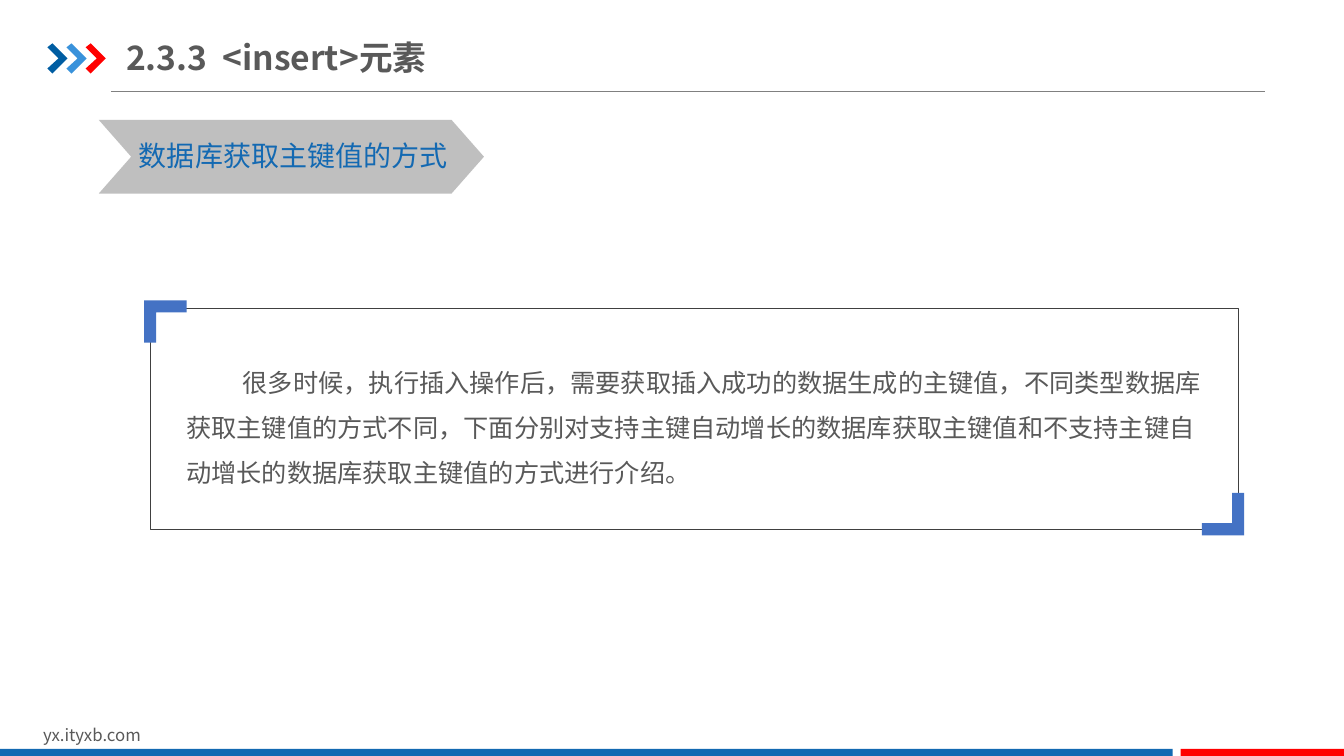
from dataclasses import dataclass

from lxml import etree
from pptx import Presentation
from pptx.dml.color import RGBColor
from pptx.enum.shapes import MSO_CONNECTOR, MSO_SHAPE
from pptx.enum.text import MSO_ANCHOR
from pptx.oxml.ns import qn
from pptx.util import Inches, Pt

RECTANGLE = MSO_SHAPE.RECTANGLE
CHEVRON = MSO_SHAPE.CHEVRON
STRAIGHT = MSO_CONNECTOR.STRAIGHT
TOP = MSO_ANCHOR.TOP
MIDDLE = MSO_ANCHOR.MIDDLE


@dataclass(frozen=True)
class Theme:
    """Colours, font and type sizes of the slide."""

    font: str = "Noto Sans CJK SC"
    text: str = "595959"
    blue: str = "1369B2"
    red: str = "FF0000"
    dark_blue: str = "005DA2"
    light_blue: str = "3992DB"
    corner: str = "4472C4"
    banner: str = "BFBFBF"
    rule: str = "808080"
    frame: str = "404040"
    title_size: int = 24
    heading_size: int = 20
    body_size: int = 18
    footer_size: int = 12


THEME = Theme()

BODY = (
    "很多时候，执行插入操作后，需要获取插入成功的数据生成的主键值，"
    "不同类型数据库获取主键值的方式不同，下面分别对支持主键自动增长的"
    "数据库获取主键值和不支持主键自动增长的数据库获取主键值的方式进行介绍。"
)
ARROW = [(0, 0.04), (0.05, 0), (0.2, 0.15), (0.05, 0.3), (0, 0.25), (0.11, 0.15)]
CORNER = [(0, 0), (0.42, 0), (0.42, 0.12), (0.12, 0.12), (0.12, 0.42), (0, 0.42)]


def paint(shape, color):
    """Give a shape a plain fill with no line or shadow."""
    shape.shadow.inherit = False
    shape.fill.solid()
    shape.fill.fore_color.rgb = RGBColor.from_string(color)
    shape.line.fill.background()


def add_block(page, kind, left, top, width, height, color):
    """Add a filled preset shape."""
    block = page.shapes.add_shape(
        kind, Inches(left), Inches(top), Inches(width), Inches(height)
    )
    paint(block, color)
    return block


def add_outline(page, points, left, top, color, direction=1):
    """Add a filled polygon, turned half round when direction is -1."""
    corners = [
        (Inches(left + direction * x), Inches(top + direction * y)) for x, y in points
    ]
    builder = page.shapes.build_freeform(*corners[0])
    builder.add_line_segments(corners[1:], close=True)
    paint(builder.convert_to_shape(), color)


def add_rule(page, left, right, top):
    """Add the thin line below the title."""
    rule = page.shapes.add_connector(
        STRAIGHT, Inches(left), Inches(top), Inches(right), Inches(top)
    )
    rule.line.color.rgb = RGBColor.from_string(THEME.rule)
    rule.line.width = Pt(0.5)
    etree.SubElement(rule._element.spPr, qn("a:effectLst"))


def add_frame(page, left, top, width, height):
    """Add the unfilled frame around the body text."""
    frame = add_block(page, RECTANGLE, left, top, width, height, THEME.frame)
    frame.fill.background()
    frame.line.color.rgb = RGBColor.from_string(THEME.frame)
    frame.line.width = Pt(0.25)


def add_text(page, text, left, top, width, height, size, color, bold=False,
             inset=0.1, anchor=TOP, spacing=1.0, indent=0):
    """Add a text box holding one paragraph."""
    box = page.shapes.add_textbox(
        Inches(left), Inches(top), Inches(width), Inches(height)
    )
    frame = box.text_frame
    frame.word_wrap = True
    frame.vertical_anchor = anchor
    frame.margin_left = frame.margin_right = Inches(inset)
    para = frame.paragraphs[0]
    para.text = text
    para.line_spacing = spacing
    font = para.font
    font.size = Pt(size)
    font.bold = bold
    font.color.rgb = RGBColor.from_string(color)
    font.name = THEME.font
    properties = para._p.get_or_add_pPr()
    properties.set("indent", str(Inches(indent)))
    east_asian = etree.SubElement(properties.find(qn("a:defRPr")), qn("a:ea"))
    east_asian.set("typeface", THEME.font)


def add_header(page):
    """Add the three arrows, the title and its rule."""
    add_rule(page, 1.1, 12.55, 0.91)
    for index, color in enumerate((THEME.dark_blue, THEME.light_blue, THEME.red)):
        add_outline(page, ARROW, 0.47 + 0.19 * index, 0.43, color)
    add_text(page, "2.3.3  <insert>元素", 1.25, 0.29, 4.05, 0.55,
             THEME.title_size, THEME.text, bold=True, inset=0, anchor=MIDDLE)


def add_footer(page):
    """Add the web address and the two bars at the bottom."""
    add_text(page, "yx.ityxb.com", 0.33, 7.14, 3.18, 0.3,
             THEME.footer_size, THEME.text)
    add_block(page, RECTANGLE, 0, 7.43, 11.63, 0.09, THEME.blue)
    add_block(page, RECTANGLE, 11.71, 7.43, 1.63, 0.09, THEME.red)


def add_banner(page):
    """Add the section heading on its chevron."""
    banner = add_block(page, CHEVRON, 0.98, 1.19, 3.82, 0.73, THEME.banner)
    banner.adjustments[0] = 0.44
    add_text(page, "数据库获取主键值的方式", 1.28, 1.33, 3.36, 0.44,
             THEME.heading_size, THEME.blue)


def add_body(page):
    """Add the framed paragraph with its two corner marks."""
    add_text(page, BODY, 1.75, 3.44, 10.27, 1.54, THEME.body_size, THEME.text,
             spacing=1.5, indent=0.56)
    add_frame(page, 1.49, 3.06, 10.79, 2.19)
    add_outline(page, CORNER, 1.43, 2.98, THEME.corner)
    add_outline(page, CORNER, 12.34, 5.31, THEME.corner, direction=-1)


def main():
    """Build the slide and save it."""
    deck = Presentation()
    deck.slide_width = Inches(13.33)
    deck.slide_height = Inches(7.5)
    page = deck.slides.add_slide(deck.slide_layouts[6])
    add_header(page)
    add_footer(page)
    add_banner(page)
    add_body(page)
    deck.save("out.pptx")


if __name__ == "__main__":
    main()
